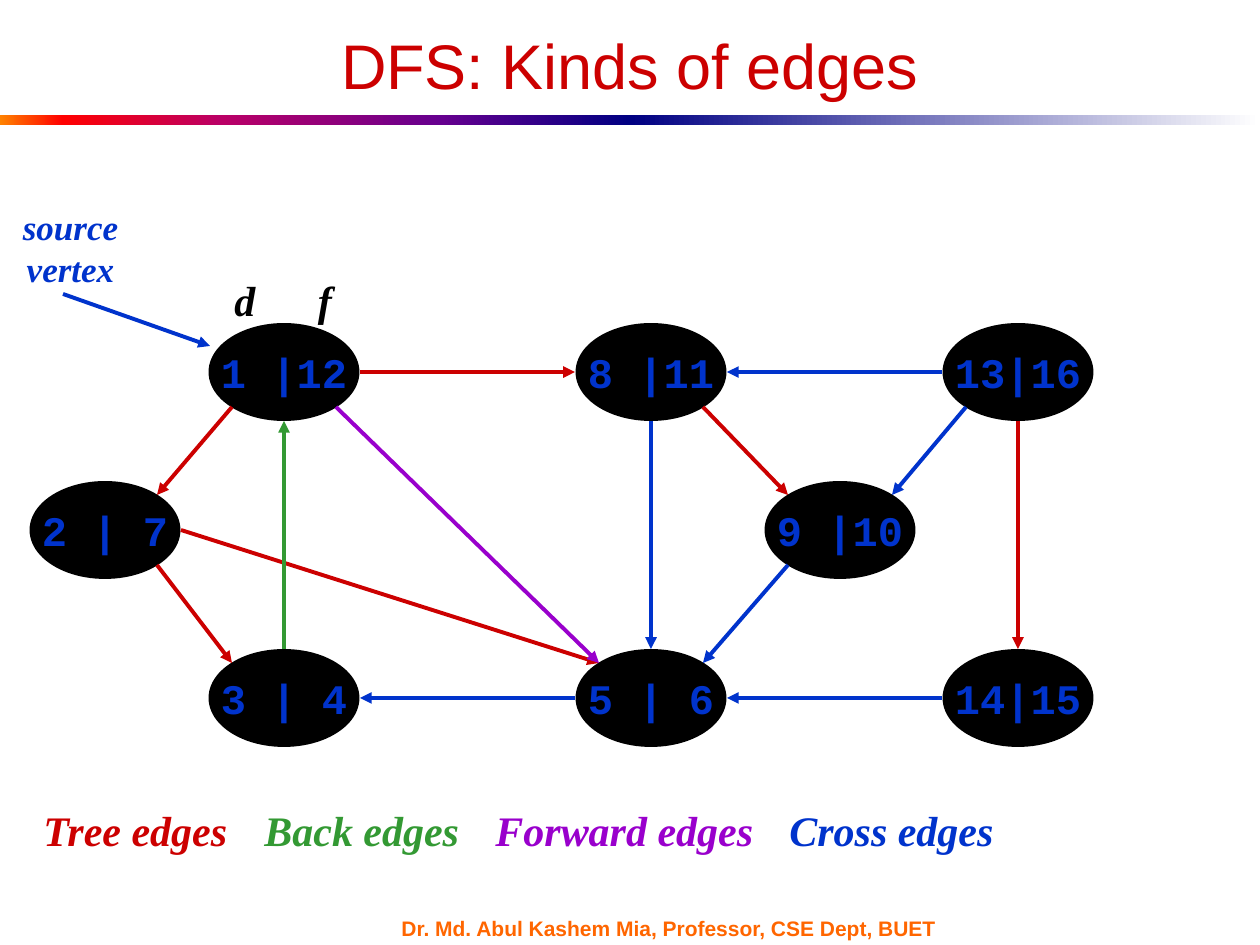
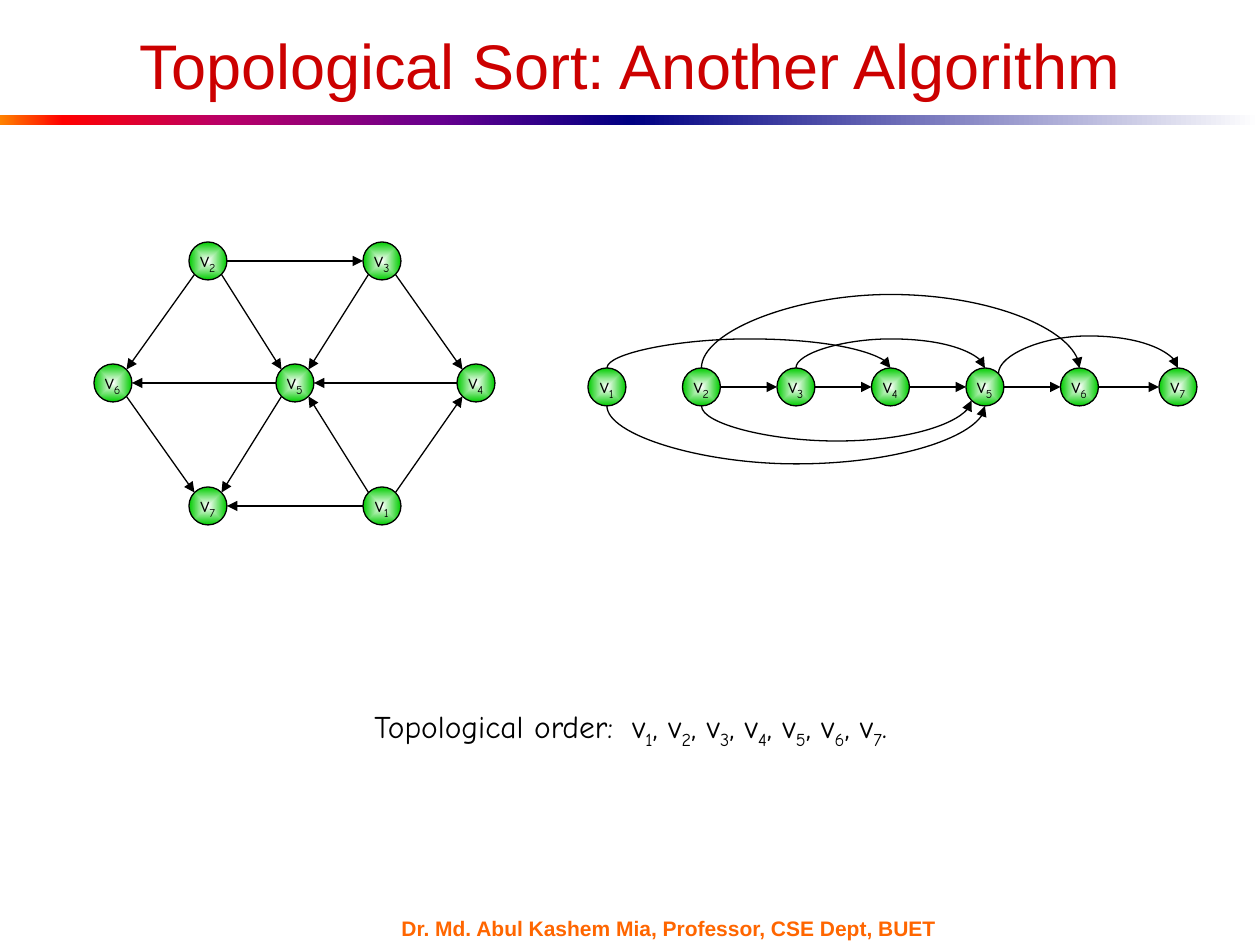
import pptx
import pptx.dml.color
import pptx.enum.shapes
import pptx.enum.text
import pptx.oxml
import pptx.oxml.ns
import pptx.util
from lxml import etree

PX = 914400 / 126  # EMU in one px
HAIR = 1588  # thinnest extent of a level arc, in EMU
COLORS = {
    "title": "CC0000", "footer": "FF6600", "ink": "000000", "white": "FFFFFF",
    "tree": "CC0000", "back": "339933", "forward": "9900CC", "cross": "0033CC",
    "vertex": "00CC00", "navy": "000082",
}
WARM_STOPS = [(0, "FF8200"), (10, "FF0000"), (35, "BA0066"), (70, "66008F"), (100, COLORS["navy"])]
COOL_STOPS = [(0, COLORS["navy"]), (100, COLORS["white"])]
VERTEX_STOPS = [(0, COLORS["white"]), (100, COLORS["vertex"])]
SIDES = {"N": (0, -1), "S": (0, 1), "W": (-1, 0), "E": (1, 0),
         "NW": (-1, -1), "NE": (1, -1), "SW": (-1, 1), "SE": (1, 1)}
OVAL_SITES = ["N", "NW", "W", "SW", "S", "SE", "E", "NE"]
CENTER = pptx.enum.text.PP_ALIGN.CENTER
LEFT = pptx.enum.text.PP_ALIGN.LEFT
MIDDLE = pptx.enum.text.MSO_ANCHOR.MIDDLE
TOP = pptx.enum.text.MSO_ANCHOR.TOP
OVAL = pptx.enum.shapes.MSO_SHAPE.OVAL
RECTANGLE = pptx.enum.shapes.MSO_SHAPE.RECTANGLE
STRAIGHT = pptx.enum.shapes.MSO_CONNECTOR.STRAIGHT
CURVE = pptx.enum.shapes.MSO_CONNECTOR.CURVE


def emu(px):
    return pptx.util.Emu(round(px * PX))


def rgb(name):
    return pptx.dml.color.RGBColor.from_string(COLORS[name])


def add_child(parent, tag, **attributes):
    child = etree.SubElement(parent, pptx.oxml.ns.qn(tag))
    for key, value in attributes.items():
        child.set(key, str(value))
    return child


# Text
def style_run(run, font, size, color, bold=False, italic=False):
    run.font.name = font
    run.font.size = pptx.util.Pt(size)
    run.font.color.rgb = rgb(color)
    run.font.bold = bold
    run.font.italic = italic


def add_text(slide, box, text, font, size, color, bold=False, italic=False,
             align=LEFT, anchor=TOP, wrap=False, fit=False):
    label = slide.shapes.add_textbox(*map(emu, box))
    frame = label.text_frame
    frame.word_wrap = wrap
    frame.vertical_anchor = anchor
    if fit:
        frame.auto_size = pptx.enum.text.MSO_AUTO_SIZE.SHAPE_TO_FIT_TEXT
    paragraph = frame.paragraphs[0]
    paragraph.text = text
    paragraph.alignment = align
    for run in paragraph.runs:
        style_run(run, font, size, color, bold, italic)
    return paragraph


def add_part(paragraph, text, size, subscript=False):
    run = paragraph.add_run()
    run.text = text
    style_run(run, "Comic Neue", size, "ink")
    if subscript:
        run.font._element.set("baseline", "-25000")
    return run


# Fills and shapes
def fill_gradient(shape, stops, from_center=False):
    shape.fill.gradient()
    gradient = shape._element.spPr.find(pptx.oxml.ns.qn("a:gradFill"))
    gradient.clear()
    gradient.set("rotWithShape", "1")
    stop_list = add_child(gradient, "a:gsLst")
    for position, color in stops:
        stop = add_child(stop_list, "a:gs", pos=position * 1000)
        add_child(stop, "a:srgbClr", val=color)
    if from_center:
        shade = add_child(gradient, "a:path", path="shape")
        add_child(shade, "a:fillToRect", l=50000, t=50000, r=50000, b=50000)
    else:
        add_child(gradient, "a:lin", ang=0, scaled=1)


def add_band(slide, left, stops):
    band = slide.shapes.add_shape(RECTANGLE, *map(emu, (left, 115, 630, 10)))
    band.shadow.inherit = False
    band.line.fill.background()
    fill_gradient(band, stops)


def add_oval(slide, center, width, height, weight):
    x, y = center
    oval = slide.shapes.add_shape(OVAL, *map(emu, (x - width / 2, y - height / 2, width, height)))
    oval.shadow.inherit = False
    oval.line.color.rgb = rgb("ink")
    oval.line.width = pptx.util.Pt(weight)
    frame = oval.text_frame
    frame.word_wrap = False
    frame.vertical_anchor = MIDDLE
    frame.paragraphs[0].alignment = CENTER
    return oval


def add_timed_vertex(slide, center, times):
    oval = add_oval(slide, center, 147, 94, 2.25)
    oval.fill.solid()
    oval.fill.fore_color.rgb = rgb("ink")
    paragraph = oval.text_frame.paragraphs[0]
    paragraph.text = times
    style_run(paragraph.runs[0], "Courier New", 24, "cross", bold=True)


def add_numbered_vertex(slide, center, number):
    oval = add_oval(slide, center, 38, 38, 0.75)
    fill_gradient(oval, VERTEX_STOPS, from_center=True)
    paragraph = oval.text_frame.paragraphs[0]
    add_part(paragraph, "v", 12)
    add_part(paragraph, str(number), 12, subscript=True)
    return oval


# Edges
def anchor_point(center, side, straight, diagonal):
    """Point on a vertex outline; straight and diagonal are (dx, dy) reaches."""
    across, down = SIDES[side]
    dx, dy = diagonal if across and down else straight
    return center[0] + across * dx, center[1] + down * dy


def timed_anchor(center, side):
    return anchor_point(center, side, (76, 49), (52, 35))


def numbered_anchor(center, side):
    return anchor_point(center, side, (19, 19), (13.5, 13.5))


def add_arrow(slide, start, end, color, weight, kind=STRAIGHT):
    arrow = slide.shapes.add_connector(kind, *map(emu, (*start, *end)))
    arrow.line.color.rgb = rgb(color)
    arrow.line.width = pptx.util.Pt(weight)
    add_child(arrow.line._get_or_add_ln(), "a:tailEnd", type="triangle")
    add_child(arrow._element.spPr, "a:effectLst")
    return arrow


def add_arc(slide, ovals, centers, source, source_side, target, target_side, level):
    """Curved arrow running left to right that bends out to the given level."""
    x1, y1 = numbered_anchor(centers[source], source_side)
    x2, y2 = numbered_anchor(centers[target], target_side)
    arc = add_arrow(slide, (x1, y1), (x2, y2), "ink", 0.75, CURVE)
    rising = y2 < y1
    depth = max(emu(abs(y2 - y1)), HAIR)
    span = emu(x2 - x1)
    arc.left = pptx.util.Emu(emu((x1 + x2) / 2) - depth // 2)
    arc.top = pptx.util.Emu(emu((y1 + y2) / 2) - span // 2)
    arc.width, arc.height = depth, span

    # Turn a quarter so that the bend runs up and down
    properties = arc._element.spPr
    frame = properties.find(pptx.oxml.ns.qn("a:xfrm"))
    frame.set("rot", "5400000")
    frame.set("flipV", "1")
    frame.set("flipH", "1" if rising else "0")
    bend = (y1 - level if rising else level - y1) * PX / depth
    geometry = properties.find(pptx.oxml.ns.qn("a:prstGeom"))
    geometry.clear()
    geometry.set("prst", "curvedConnector3")
    guides = add_child(geometry, "a:avLst")
    add_child(guides, "a:gd", name="adj1", fmla=f"val {round(bend * 100000)}")

    # Tie both ends to the vertices
    ties = arc._element.find(".//" + pptx.oxml.ns.qn("p:cNvCxnSpPr"))
    for tag, vertex, side in (("a:stCxn", source, source_side), ("a:endCxn", target, target_side)):
        add_child(ties, tag, id=ovals[vertex].shape_id, idx=OVAL_SITES.index(side))


# Slides
def add_framed_slide(deck, title):
    slide = deck.slides.add_slide(deck.slide_layouts[6])
    add_band(slide, 0, WARM_STOPS)
    add_band(slide, 630, COOL_STOPS)
    add_text(slide, (389, 917, 588, 23), "Dr. Md. Abul Kashem Mia, Professor, CSE Dept, BUET",
             "Arial", 12, "footer", bold=True, anchor=MIDDLE, wrap=True)
    add_text(slide, (63, 32, 1134, 64), title, "Arial", 36, "title",
             align=CENTER, anchor=MIDDLE, wrap=True)
    return slide


def build_edge_kinds(deck):
    slide = add_framed_slide(deck, "DFS: Kinds of edges")
    centers = {
        "1 |12": (284, 372), "8 |11": (651, 372), "13|16": (1018, 372),
        "14|15": (1018, 698), "5 | 6": (651, 698), "3 | 4": (284, 698),
        "2 | 7": (105, 530), "9 |10": (840, 530),
    }
    for times, center in centers.items():
        add_timed_vertex(slide, center, times)

    edges = [
        ("1 |12", "SW", "2 | 7", "NE", "tree"), ("2 | 7", "SE", "3 | 4", "NW", "tree"),
        ("2 | 7", "E", "5 | 6", "NW", "tree"), ("5 | 6", "W", "3 | 4", "E", "cross"),
        ("3 | 4", "N", "1 |12", "S", "back"), ("8 |11", "S", "5 | 6", "N", "cross"),
        ("1 |12", "E", "8 |11", "W", "tree"), ("13|16", "W", "8 |11", "E", "cross"),
        ("8 |11", "SE", "9 |10", "NW", "tree"), ("13|16", "SW", "9 |10", "NE", "cross"),
        ("13|16", "S", "14|15", "N", "tree"), ("14|15", "W", "5 | 6", "E", "cross"),
        ("9 |10", "SW", "5 | 6", "NE", "cross"), ("1 |12", "SE", "5 | 6", "NW", "forward"),
    ]
    for source, source_side, target, target_side, kind in edges:
        add_arrow(slide, timed_anchor(centers[source], source_side),
                  timed_anchor(centers[target], target_side), kind, 2.25)

    # Source pointer and the names of the two times
    add_arrow(slide, (63, 294), (210, 346), "cross", 2.25)
    add_text(slide, (10, 199, 121, 97), "source\vvertex", "Times New Roman", 20, "cross",
             bold=True, italic=True, align=CENTER, fit=True)
    for time_name, x in (("d", 245), ("f", 325)):
        add_text(slide, (x - 30, 268, 60, 63), time_name, "Times New Roman", 24, "ink",
                 bold=True, italic=True, align=CENTER, anchor=MIDDLE)

    # Legend
    for kind, left, width in (("tree", 31, 210), ("back", 252, 220),
                              ("forward", 483, 284), ("cross", 777, 229)):
        add_text(slide, (left, 798, width, 63), f"{kind.capitalize()} edges",
                 "Times New Roman", 24, kind, bold=True, italic=True, fit=True)


def build_topological_sort(deck):
    slide = add_framed_slide(deck, "Topological Sort: Another Algorithm")

    # Graph
    graph = {2: (208, 261), 3: (382, 261), 6: (113, 383), 5: (295, 383),
             4: (476, 383), 7: (208, 506), 1: (382, 506)}
    for number, center in graph.items():
        add_numbered_vertex(slide, center, number)
    edges = [
        (2, "SW", 6, "NE"), (2, "SE", 5, "NW"), (2, "E", 3, "W"), (3, "SE", 4, "NW"),
        (4, "W", 5, "E"), (1, "NE", 4, "SW"), (5, "SW", 7, "NE"), (1, "NW", 5, "SE"),
        (1, "W", 7, "E"), (6, "SE", 7, "NW"), (5, "W", 6, "E"), (3, "SW", 5, "NE"),
    ]
    for source, source_side, target, target_side in edges:
        add_arrow(slide, numbered_anchor(graph[source], source_side),
                  numbered_anchor(graph[target], target_side), "ink", 0.75)

    # Vertices in sorted order
    row = {number: (607 + 94.5 * (number - 1), 387) for number in range(1, 7)}
    row[7] = (1178, 387)
    ovals = {number: add_numbered_vertex(slide, center, number) for number, center in row.items()}
    for number in range(2, 7):
        add_arrow(slide, numbered_anchor(row[number], "E"),
                  numbered_anchor(row[number + 1], "W"), "ink", 0.75)
    arcs = [(3, "N", 5, "N", 336), (2, "S", 5, "SW", 441), (1, "S", 5, "S", 470),
            (1, "N", 4, "N", 336), (5, "NE", 7, "N", 336), (2, "N", 6, "N", 287)]
    for arc in arcs:
        add_arc(slide, ovals, row, *arc)

    # Resulting order
    order = add_text(slide, (362, 701, 619, 57), "Topological order:", "Comic Neue", 18, "ink", wrap=True)
    gap = add_part(order, " ", 18)
    gap.font._element.set("spc", "500")
    for number in range(1, 8):
        add_part(order, "v" if number == 1 else ", v", 18)
        add_part(order, str(number), 18, subscript=True)
    add_part(order, ".", 18)


def main():
    deck = pptx.Presentation()
    deck.slide_width, deck.slide_height = emu(1260), emu(945)
    build_edge_kinds(deck)
    build_topological_sort(deck)
    deck.save("out.pptx")


if __name__ == "__main__":
    main()
